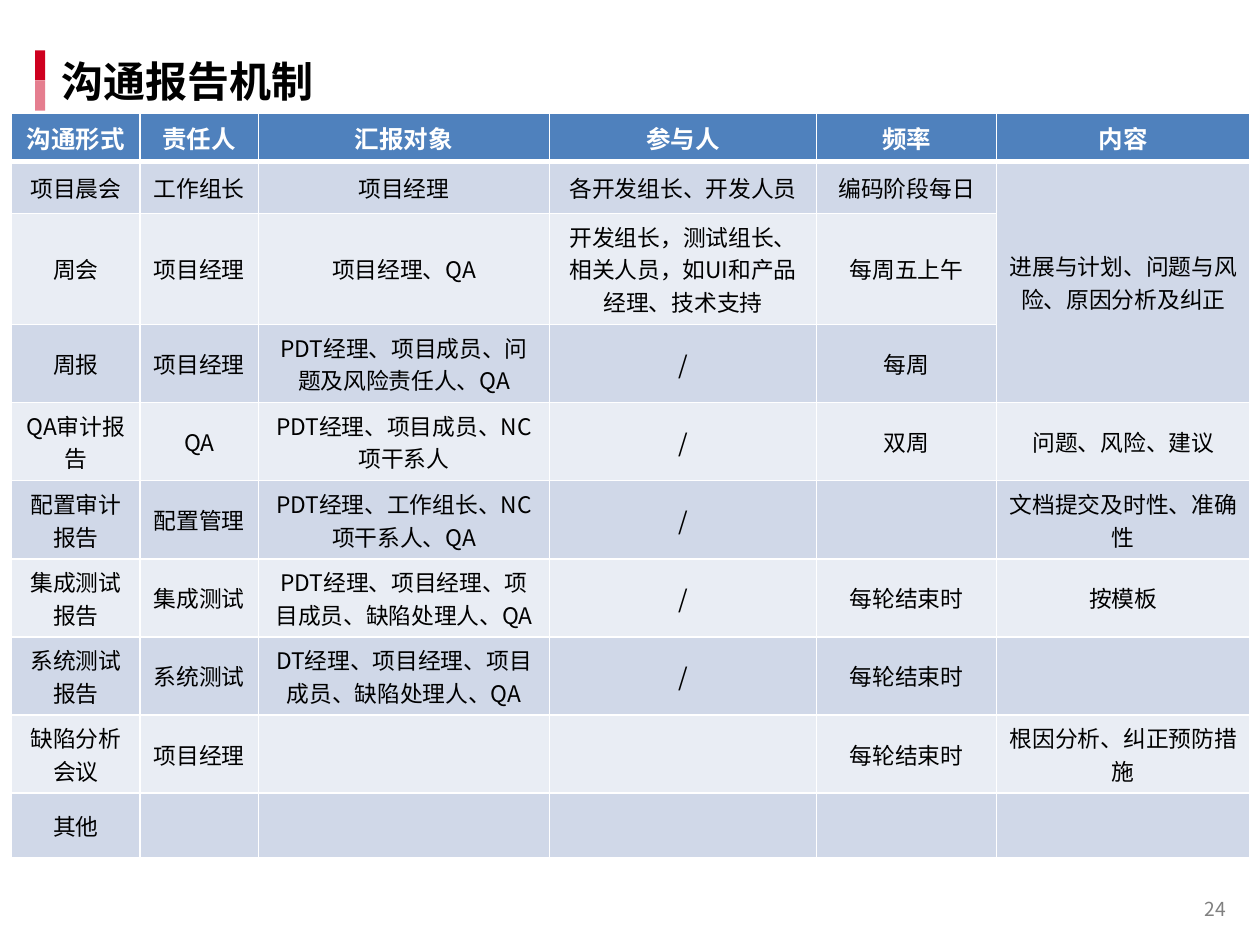
from lxml import etree
from pptx import Presentation
from pptx import util as u
from pptx.dml import color
from pptx.enum import shapes, text
from pptx.oxml import ns

Pt = u.Pt
FONT = "Noto Sans CJK SC"
COLORS = {
    "red": "CE001F",
    "pink": "E57E8F",
    "header": "4F81BD",
    "odd": "D0D8E8",
    "even": "E9EDF4",
    "white": "FFFFFF",
    "black": "000000",
    "gray": "808080",
}
COLUMN_WIDTHS = [73.4, 67.7, 166.3, 152.6, 103, 144.7]
ROW_HEIGHTS = [27.4, 29.7, 63.4] + [44.6] * 6 + [37.1]
ROWS = [
    ["沟通形式", "责任人", "汇报对象", "参与人", "频率", "内容"],
    ["项目晨会", "工作组长", "项目经理", "各开发组长、开发人员", "编码阶段每日",
     "进展与计划、问题与风险、原因分析及纠正"],
    ["周会", "项目经理", "项目经理、QA",
     "开发组长，测试组长、相关人员，如UI和产品经理、技术支持", "每周五上午", ""],
    ["周报", "项目经理", "PDT经理、项目成员、问题及风险责任人、QA", "/", "每周", ""],
    ["QA审计报告", "QA", "PDT经理、项目成员、NC项干系人", "/", "双周", "问题、风险、建议"],
    ["配置审计报告", "配置管理", "PDT经理、工作组长、NC项干系人、QA", "/", "",
     "文档提交及时性、准确性"],
    ["集成测试报告", "集成测试", "PDT经理、项目经理、项目成员、缺陷处理人、QA", "/",
     "每轮结束时", "按模板"],
    ["系统测试报告", "系统测试", "DT经理、项目经理、项目成员、缺陷处理人、QA", "/",
     "每轮结束时", ""],
    ["缺陷分析会议", "项目经理", "", "", "每轮结束时", "根因分析、纠正预防措施"],
    ["其他", "", "", "", "", ""],
]


def rgb(name):
    return color.RGBColor.from_string(COLORS[name])


def add_run(paragraph, words, size, color_name, bold=False):
    run = paragraph.add_run()
    run.text = words
    run.font.size = Pt(size)
    run.font.bold = bold
    run.font.name = FONT
    run.font.color.rgb = rgb(color_name)
    etree.SubElement(run.font._element, ns.qn("a:ea"), typeface=FONT)


def format_frame(frame):
    frame.word_wrap = True
    frame.auto_size = text.MSO_AUTO_SIZE.NONE
    frame.vertical_anchor = text.MSO_ANCHOR.MIDDLE
    frame.margin_left = frame.margin_right = Pt(9.4)
    frame.margin_top = frame.margin_bottom = Pt(5)


def add_bar(slide, top, color_name):
    bar = slide.shapes.add_shape(
        shapes.MSO_SHAPE.RECTANGLE, Pt(20), Pt(top), Pt(5.8), Pt(17.2))
    bar.shadow.inherit = False
    bar.fill.solid()
    bar.fill.fore_color.rgb = rgb(color_name)
    bar.line.fill.background()


def add_title(slide, words):
    title = slide.shapes.title
    title.left, title.top, title.width, title.height = Pt(26), Pt(28.8), Pt(529), Pt(34.6)
    format_frame(title.text_frame)
    paragraph = title.text_frame.paragraphs[0]
    paragraph.alignment = text.PP_ALIGN.LEFT
    add_run(paragraph, words, 24, "black", True)


def add_page_number(slide, number):
    box = slide.shapes.add_textbox(Pt(671.5), Pt(505.5), Pt(46), Pt(28))
    format_frame(box.text_frame)
    paragraph = box.text_frame.paragraphs[0]
    paragraph.alignment = text.PP_ALIGN.CENTER
    add_run(paragraph, number, 11, "gray")


def set_borders(cell, row):
    properties = cell._tc.get_or_add_tcPr()
    widths = {"lnL": 1, "lnR": 1, "lnT": 3 if row == 1 else 1, "lnB": 3 if row == 0 else 1}
    for tag, width in widths.items():
        line = etree.SubElement(properties, ns.qn(f"a:{tag}"), w=str(Pt(width)))
        fill = etree.SubElement(line, ns.qn("a:solidFill"))
        etree.SubElement(fill, ns.qn("a:srgbClr"), val=COLORS["white"])


def format_cell(cell, row, words):
    is_header = row == 0
    set_borders(cell, row)
    cell.fill.solid()
    cell.fill.fore_color.rgb = rgb("header" if is_header else "odd" if row % 2 else "even")
    cell.vertical_anchor = text.MSO_ANCHOR.MIDDLE
    paragraph = cell.text_frame.paragraphs[0]
    paragraph.alignment = text.PP_ALIGN.CENTER
    if words:
        size = 14 if is_header or words == "/" else 13
        add_run(paragraph, words, size, "white" if is_header else "black", is_header)


def add_report_table(slide):
    table = slide.shapes.add_table(
        len(ROWS), len(COLUMN_WIDTHS), Pt(6.6), Pt(64.7),
        Pt(sum(COLUMN_WIDTHS)), Pt(sum(ROW_HEIGHTS))).table
    for column, width in zip(table.columns, COLUMN_WIDTHS):
        column.width = Pt(width)
    for row, height in zip(table.rows, ROW_HEIGHTS):
        row.height = Pt(height)
    for row, entries in enumerate(ROWS):
        for column, words in enumerate(entries):
            format_cell(table.cell(row, column), row, words)
    table.cell(1, 5).merge(table.cell(3, 5))


def main():
    presentation = Presentation()
    presentation.slide_width, presentation.slide_height = Pt(720), Pt(540)
    slide = presentation.slides.add_slide(presentation.slide_layouts[5])
    add_bar(slide, 28.8, "red")
    add_bar(slide, 46, "pink")
    add_page_number(slide, "24")
    add_title(slide, "沟通报告机制")
    add_report_table(slide)
    presentation.save("out.pptx")


if __name__ == "__main__":
    main()
